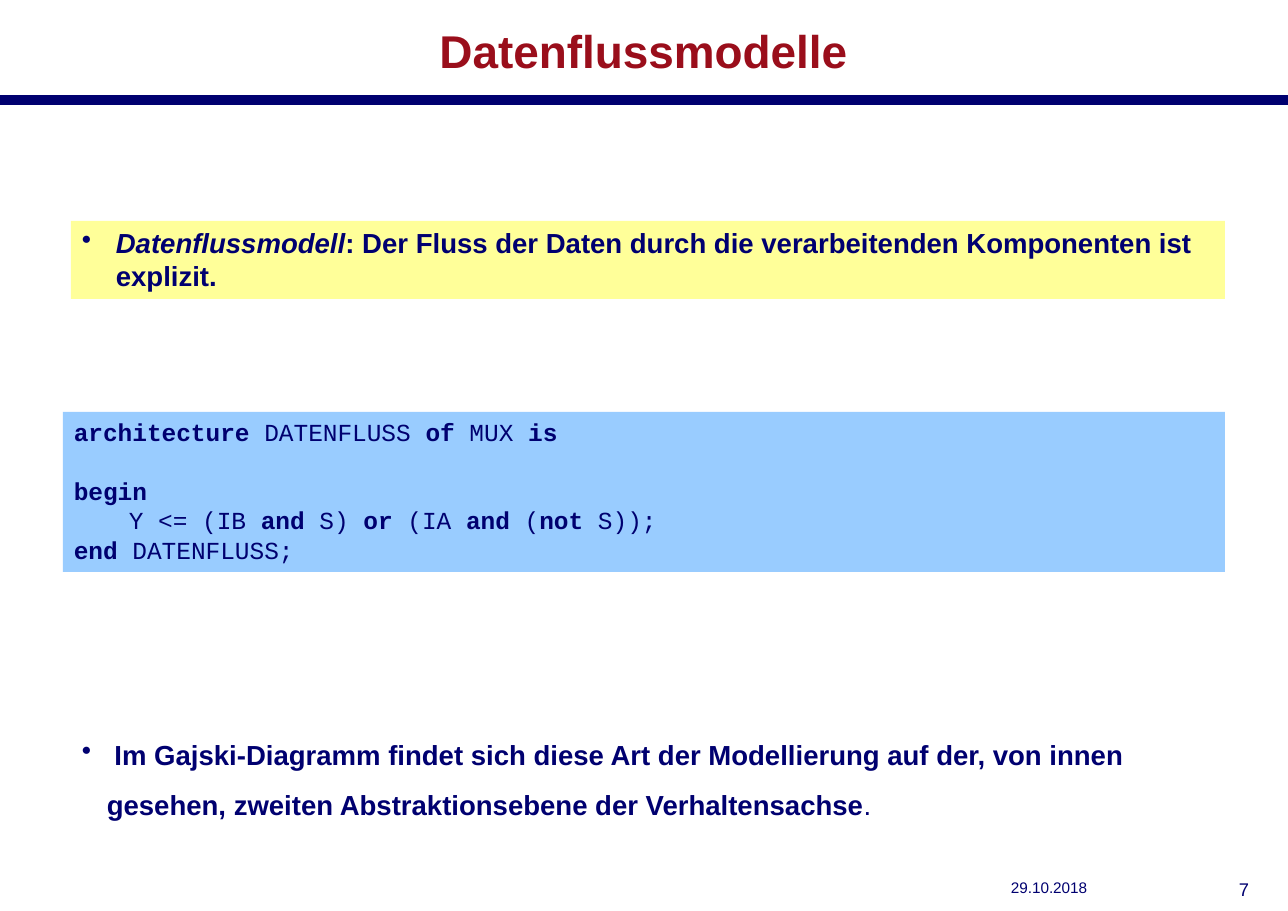
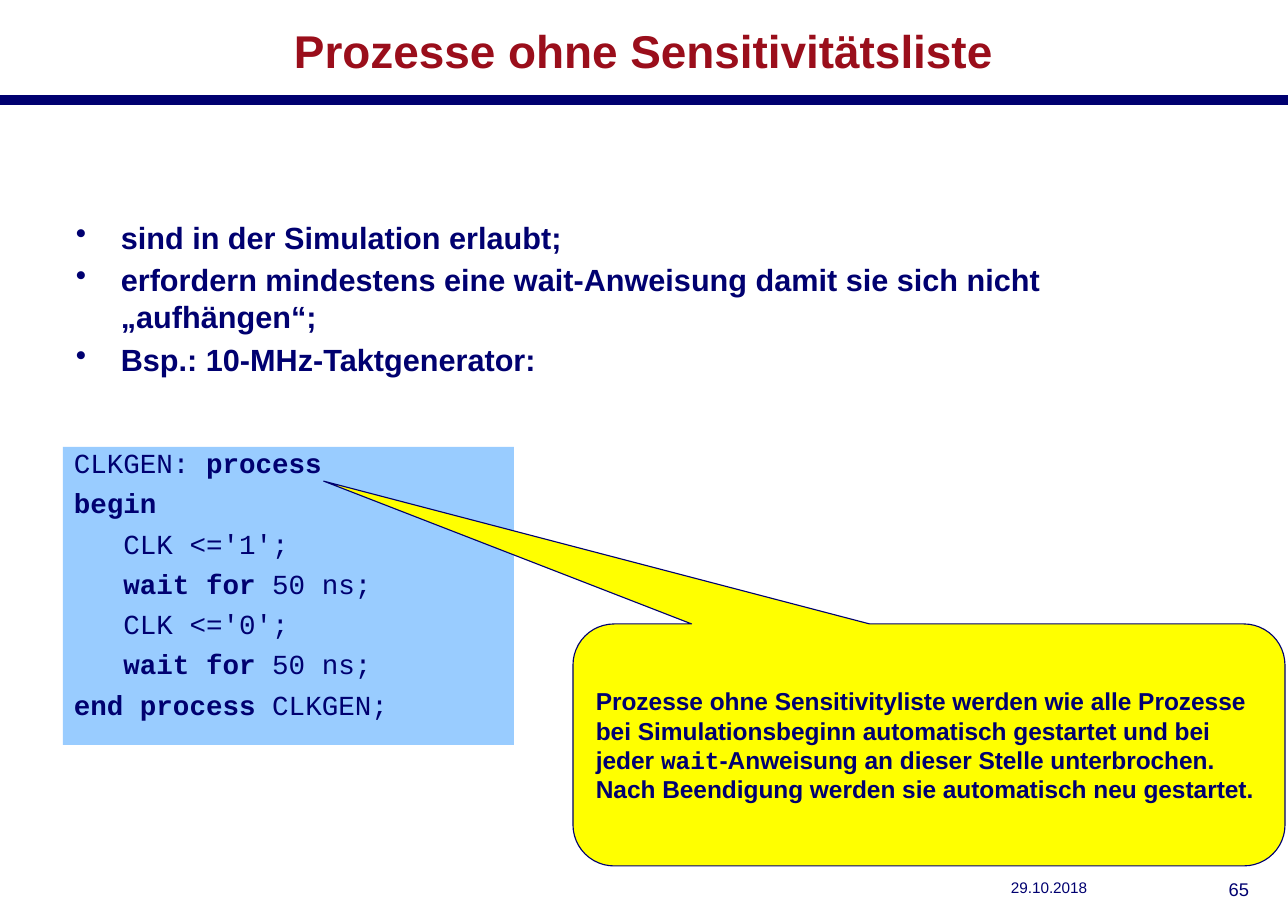
"""Build two lecture slides on dataflow models and processes."""
import pptx
import pptx.dml.color
import pptx.enum.shapes
import pptx.enum.text
import pptx.oxml.ns
import pptx.util
from lxml import etree

EMU_PER_PX = 8298
SLIDE_WIDTH, SLIDE_HEIGHT = 1288, 911

NAVY = pptx.dml.color.RGBColor(0x00, 0x00, 0x70)
TITLE_RED = pptx.dml.color.RGBColor(0x9A, 0x0E, 0x1B)
PALE_YELLOW = pptx.dml.color.RGBColor(0xFF, 0xFF, 0x99)
CODE_BLUE = pptx.dml.color.RGBColor(0x99, 0xCC, 0xFF)
YELLOW = pptx.dml.color.RGBColor(0xFF, 0xFF, 0x00)

SANS, MONO = "Arial", "Courier New"
DATE = "29.10.2018"
BOLD = {"bold": True}

SHAPE = pptx.enum.shapes.MSO_SHAPE
ALIGN = pptx.enum.text.PP_ALIGN
ANCHOR = pptx.enum.text.MSO_ANCHOR


def px(length):
    """Turn pixels into EMU."""
    return pptx.util.Emu(length * EMU_PER_PX)


def box(*lengths):
    """Turn left, top, width and height in pixels into EMU."""
    return [px(length) for length in lengths]


def add_bullet(paragraph, indent):
    """Give a paragraph a round bullet with a hanging indent in pixels."""
    properties = paragraph._p.get_or_add_pPr()
    properties.set("marL", str(px(indent)))
    properties.set("indent", str(-px(indent)))
    bullet = etree.SubElement(properties, pptx.oxml.ns.qn("a:buChar"))
    bullet.set("char", "•")


def write_text(shape, lines, size, font=SANS, color=NAVY, bold=False, accent=None,
               align=ALIGN.LEFT, anchor=ANCHOR.TOP, indent=0, line_spacing=None, space_before=0):
    """Write lines as paragraphs; parts between asterisks get the accent font settings."""
    frame = shape.text_frame
    frame.word_wrap = True
    frame.vertical_anchor = anchor
    for index, line in enumerate(lines):
        paragraph = frame.paragraphs[0] if index == 0 else frame.add_paragraph()
        paragraph.alignment = align
        if line_spacing:
            paragraph.line_spacing = line_spacing
        if index and space_before:
            paragraph.space_before = pptx.util.Pt(space_before)
        if indent:
            add_bullet(paragraph, indent)
        paragraph.font.size = pptx.util.Pt(size)
        paragraph.font.name = font
        paragraph.font.bold = bold
        paragraph.font.color.rgb = color
        for position, part in enumerate(line.split("*")):
            if part:
                run = paragraph.add_run()
                run.text = part
                if position % 2:
                    for name, value in accent.items():
                        setattr(run.font, name, value)


def add_text(slide, bounds, lines, size, **style):
    """Add a plain text box."""
    write_text(slide.shapes.add_textbox(*box(*bounds)), lines, size, **style)


def add_panel(slide, bounds, fill, lines, size, kind=SHAPE.RECTANGLE, **style):
    """Add a filled shape with text and without outline."""
    shape = slide.shapes.add_shape(kind, *box(*bounds))
    shape.shadow.inherit = False
    shape.fill.solid()
    shape.fill.fore_color.rgb = fill
    shape.line.fill.background()
    write_text(shape, lines, size, **style)
    return shape


def add_code(slide, bounds, lines, size, **style):
    """Add a code panel with bold keywords."""
    return add_panel(slide, bounds, CODE_BLUE, lines, size, font=MONO, accent=BOLD, **style)


def add_callout(slide, bounds, adjustments, lines, size, **style):
    """Add an outlined rounded callout."""
    callout = add_panel(slide, bounds, YELLOW, lines, size,
                        kind=SHAPE.ROUNDED_RECTANGULAR_CALLOUT, anchor=ANCHOR.MIDDLE, **style)
    callout.line.color.rgb = NAVY
    callout.line.width = pptx.util.Pt(0.75)
    for index, value in enumerate(adjustments):
        callout.adjustments[index] = value


def add_band(slide):
    """Draw the rule under the title."""
    band = slide.shapes.add_connector(pptx.enum.shapes.MSO_CONNECTOR.STRAIGHT,
                                      *box(0, 100, SLIDE_WIDTH, 100))
    band.line.color.rgb = NAVY
    band.line.width = pptx.util.Pt(7.09)
    etree.SubElement(band._element.spPr, pptx.oxml.ns.qn("a:effectLst"))


def add_slide(presentation, title, number):
    """Add a slide with band, footer and title."""
    slide = presentation.slides.add_slide(presentation.slide_layouts[6])
    add_band(slide)
    add_text(slide, (1000, 873, 182, 38), [DATE], 10)
    add_text(slide, (1199, 873, 61, 38), [str(number)], 12, align=ALIGN.RIGHT)
    add_text(slide, (28, 13, 1231, 75), [title], 30, color=TITLE_RED, bold=True,
             align=ALIGN.CENTER, anchor=ANCHOR.MIDDLE)
    return slide


def add_dataflow_slide(presentation):
    """Build the slide on dataflow models."""
    slide = add_slide(presentation, "Datenflussmodelle", 7)
    add_panel(slide, (71, 221, 1154, 78), PALE_YELLOW,
              ["*Datenflussmodell*: Der Fluss der Daten durch die verarbeitenden "
               "Komponenten ist explizit."],
              18, bold=True, accent={"italic": True}, indent=34)
    code = add_code(slide, (63, 412, 1162, 160),
                    ["*architecture* DATENFLUSS *of* MUX *is*",
                     "*begin*",
                     "\tY <= (IB *and* S) *or* (IA *and* (*not* S));",
                     "*end* DATENFLUSS;"], 16)
    code.text_frame.paragraphs[1].space_before = pptx.util.Pt(19)
    add_text(slide, (71, 716, 1154, 111),
             [" Im Gajski-Diagramm findet sich diese Art der Modellierung auf der, von innen "
              "gesehen, zweiten Abstraktionsebene der Verhaltensachse*.*"],
             18, bold=True, accent={"bold": False}, indent=25, line_spacing=1.5)


def add_process_slide(presentation):
    """Build the slide on processes without a sensitivity list."""
    slide = add_slide(presentation, "Prozesse ohne Sensitivitätsliste", 65)
    add_text(slide, (65, 213, 1159, 199),
             ["sind in der Simulation erlaubt;",
              "erfordern mindestens eine wait-Anweisung damit sie sich nicht „aufhängen“;",
              "Bsp.: 10-MHz-Taktgenerator:"],
             20, bold=True, indent=45, space_before=4)
    add_code(slide, (63, 447, 451, 298),
             ["CLKGEN: *process*",
              "*begin*",
              "   CLK <='1';",
              "*   wait for* 50 ns;",
              "   CLK <='0';",
              "*   wait for* 50 ns;",
              "*end process* CLKGEN;"],
             18, line_spacing=0.8, space_before=9)
    add_callout(slide, (573, 624, 712, 242), (-0.85, -1.09, 0.17),
                ["Prozesse ohne Sensitivityliste werden wie alle Prozesse bei Simulationsbeginn "
                 "automatisch gestartet und bei jeder *wait*-Anweisung an dieser Stelle "
                 "unterbrochen. Nach Beendigung werden sie automatisch neu gestartet."],
                16, bold=True, accent={"name": MONO})


def main():
    """Create and save the presentation."""
    presentation = pptx.Presentation()
    presentation.slide_width = px(SLIDE_WIDTH)
    presentation.slide_height = px(SLIDE_HEIGHT)
    add_dataflow_slide(presentation)
    add_process_slide(presentation)
    presentation.save("out.pptx")


if __name__ == "__main__":
    main()
